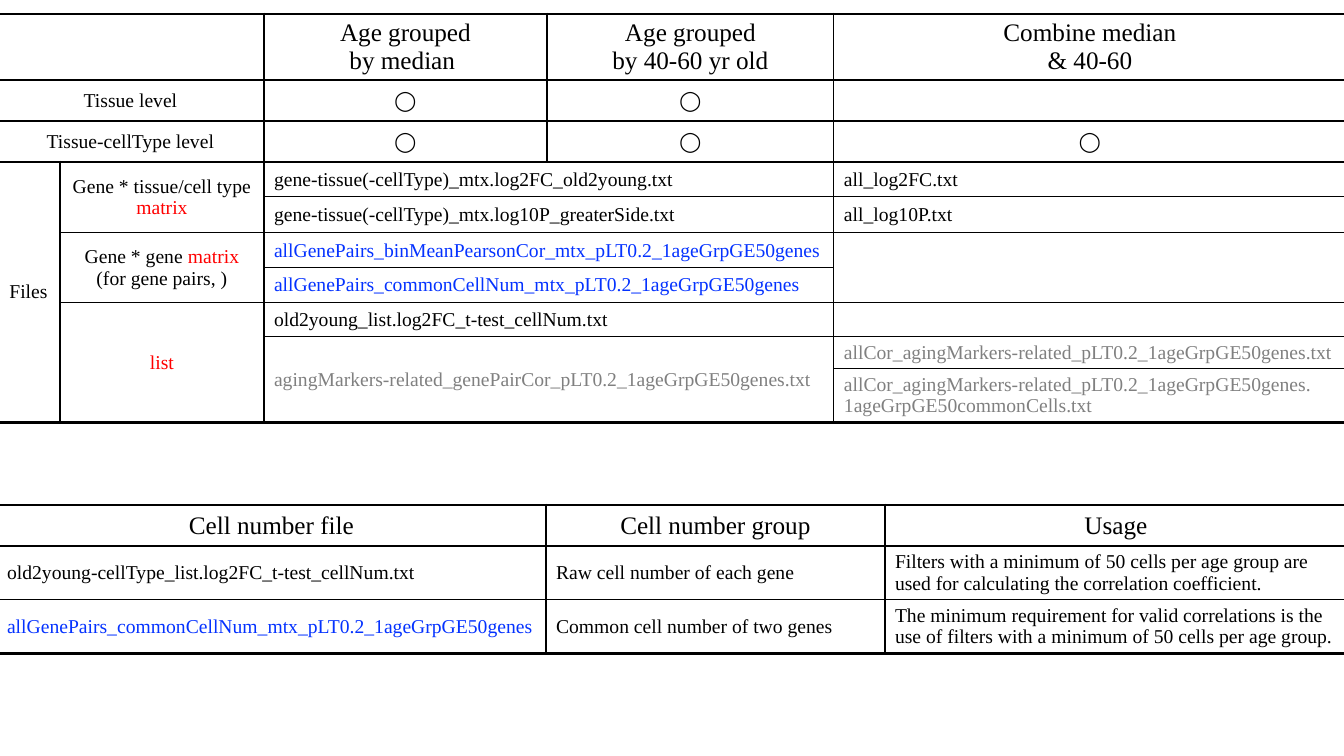
from dataclasses import dataclass

from lxml.etree import SubElement
from pptx import Presentation
from pptx.dml.color import RGBColor
from pptx.enum.text import MSO_ANCHOR, PP_ALIGN
from pptx.oxml.ns import qn
from pptx.util import Pt

SLIDE_WIDTH, SLIDE_HEIGHT = 1344, 756
EMU_PER_PX = 12192000 / SLIDE_WIDTH
FONT = "Times New Roman"
HEADING_SIZE, BODY_SIZE = 18, 14
THIN, THICK = 1, 2.25
BLACK = RGBColor(0x00, 0x00, 0x00)
RED = RGBColor(0xFF, 0x00, 0x00)
BLUE = RGBColor(0x04, 0x32, 0xFF)
GRAY = RGBColor(0x80, 0x80, 0x80)


@dataclass(frozen=True)
class Entry:
    """One cell or merged block of a table."""
    row: int
    column: int
    text: str = ""
    color: RGBColor = BLACK
    rows: int = 1
    columns: int = 1
    centered: bool = False
    red_word: str = ""


@dataclass(frozen=True)
class Grid:
    """A ruled table with thick lines at the listed row boundaries."""
    left: int
    top: int
    widths: tuple[int, ...]
    heights: tuple[int, ...]
    thick_rows: tuple[int, ...]
    entries: tuple[Entry, ...]


CIRCLES = tuple(Entry(row, column, "◯", centered=True)
                for row, column in ((1, 2), (1, 3), (2, 2), (2, 3), (2, 4)))

FILE_GRID = Grid(
    -3, 14, (63, 204, 283, 287, 512), (65, 41, 41, 35, 36, 35, 35, 32, 32, 53), (0, 3, 10),
    CIRCLES + (
        Entry(0, 0, columns=2),
        Entry(0, 2, "Age grouped\nby median ", centered=True),
        Entry(0, 3, "Age grouped\nby 40-60 yr old", centered=True),
        Entry(0, 4, "Combine median\n& 40-60", centered=True),
        Entry(1, 0, "Tissue level", columns=2, centered=True),
        Entry(1, 4),
        Entry(2, 0, "Tissue-cellType level", columns=2, centered=True),
        Entry(3, 0, "Files", rows=7, centered=True),
        Entry(3, 1, "Gene * tissue/cell type\nmatrix", rows=2, centered=True, red_word="matrix"),
        Entry(3, 2, "gene-tissue(-cellType)_mtx.log2FC_old2young.txt", columns=2),
        Entry(3, 4, "all_log2FC.txt"),
        Entry(4, 2, "gene-tissue(-cellType)_mtx.log10P_greaterSide.txt", columns=2),
        Entry(4, 4, "all_log10P.txt"),
        Entry(5, 1, "Gene * gene matrix\n(for gene pairs, )", rows=2, centered=True,
              red_word="matrix"),
        Entry(5, 2, "allGenePairs_binMeanPearsonCor_mtx_pLT0.2_1ageGrpGE50genes", BLUE, columns=2),
        Entry(5, 4, rows=2),
        Entry(6, 2, "allGenePairs_commonCellNum_mtx_pLT0.2_1ageGrpGE50genes", BLUE, columns=2),
        Entry(7, 1, "list", RED, rows=3, centered=True),
        Entry(7, 2, "old2young_list.log2FC_t-test_cellNum.txt", columns=2),
        Entry(7, 4),
        Entry(8, 2, "agingMarkers-related_genePairCor_pLT0.2_1ageGrpGE50genes.txt", GRAY,
              rows=2, columns=2),
        Entry(8, 4, "allCor_agingMarkers-related_pLT0.2_1ageGrpGE50genes.txt", GRAY),
        Entry(9, 4, "allCor_agingMarkers-related_pLT0.2_1ageGrpGE50genes.\n"
                    "1ageGrpGE50commonCells.txt", GRAY),
    ))

CELL_NUMBER_GRID = Grid(
    -3, 505, (549, 339, 462), (41, 53, 54), (0, 3),
    (
        Entry(0, 0, "Cell number file", centered=True),
        Entry(0, 1, "Cell number group", centered=True),
        Entry(0, 2, "Usage", centered=True),
        Entry(1, 0, "old2young-cellType_list.log2FC_t-test_cellNum.txt"),
        Entry(1, 1, "Raw cell number of each gene"),
        Entry(1, 2, "Filters with a minimum of 50 cells per age group are used for "
                    "calculating the correlation coefficient."),
        Entry(2, 0, "allGenePairs_commonCellNum_mtx_pLT0.2_1ageGrpGE50genes", BLUE),
        Entry(2, 1, "Common cell number of two genes"),
        Entry(2, 2, "The minimum requirement for valid correlations is the use of filters "
                    "with a minimum of 50 cells per age group."),
    ))


def px(length: int) -> int:
    """Turn pixels into EMU."""
    return round(length * EMU_PER_PX)


def add_border(cell, side: str, width: float) -> None:
    """Add one cell edge, invisible when the width is zero."""
    line = SubElement(cell._tc.get_or_add_tcPr(), qn(f"a:ln{side}"), w=str(Pt(width)))
    if width:
        fill = SubElement(line, qn("a:solidFill"))
        SubElement(fill, qn("a:srgbClr"), val=str(BLACK))
    else:
        SubElement(line, qn("a:noFill"))


def rule_block(table, grid: Grid, entry: Entry) -> None:
    """Draw the edges of a block on each of its cells."""
    bottom, right = entry.row + entry.rows, entry.column + entry.columns

    def row_line(boundary: int) -> float:
        """Give the line width at a row boundary."""
        return THICK if boundary in grid.thick_rows else THIN

    for row in range(entry.row, bottom):
        for column in range(entry.column, right):
            cell = table.cell(row, column)
            origin = (row, column) == (entry.row, entry.column)
            at_right = (origin or column + 1 == right) and right < len(grid.widths)
            at_bottom = origin or row + 1 == bottom
            add_border(cell, "L", THIN if 0 < column == entry.column else 0)
            add_border(cell, "R", THIN if at_right else 0)
            add_border(cell, "T", row_line(row) if row == entry.row else 0)
            add_border(cell, "B", row_line(bottom) if at_bottom else 0)
            cell.fill.background()
            if not (origin and entry.text):
                SubElement(cell.text_frame.paragraphs[0]._p, qn("a:endParaRPr"),
                           sz=str(BODY_SIZE * 100))


def write_entry(cell, entry: Entry) -> None:
    """Fill a cell with its formatted text."""
    cell.vertical_anchor = MSO_ANCHOR.MIDDLE
    cell.text_frame.text = entry.text
    for para in cell.text_frame.paragraphs:
        para.alignment = PP_ALIGN.CENTER if entry.centered else PP_ALIGN.LEFT
        if entry.red_word and entry.red_word in para.text:
            pieces = [piece for piece in para.text.partition(entry.red_word) if piece]
            para.text = pieces[0]
            for piece in pieces[1:]:
                para.add_run().text = piece
        for span in para.runs:
            span.font.name = FONT
            span.font.size = Pt(BODY_SIZE if entry.row else HEADING_SIZE)
            span.font.color.rgb = RED if span.text == entry.red_word else entry.color


def draw_grid(page, grid: Grid) -> None:
    """Place a table and fill its blocks."""
    frame = page.shapes.add_table(len(grid.heights), len(grid.widths), px(grid.left),
                                  px(grid.top), px(sum(grid.widths)), px(sum(grid.heights)))
    table = frame.table
    table.first_row = table.horz_banding = False
    for column, width in zip(table.columns, grid.widths):
        column.width = px(width)
    for row, height in zip(table.rows, grid.heights):
        row.height = px(height)
    for entry in grid.entries:
        cell = table.cell(entry.row, entry.column)
        if entry.rows * entry.columns > 1:
            cell.merge(table.cell(entry.row + entry.rows - 1, entry.column + entry.columns - 1))
        rule_block(table, grid, entry)
        if entry.text:
            write_entry(cell, entry)


def main() -> None:
    """Build the slide and save it."""
    deck = Presentation()
    deck.slide_width, deck.slide_height = px(SLIDE_WIDTH), px(SLIDE_HEIGHT)
    page = deck.slides.add_slide(deck.slide_layouts[6])
    for grid in (FILE_GRID, CELL_NUMBER_GRID):
        draw_grid(page, grid)
    deck.save("out.pptx")


if __name__ == "__main__":
    main()
